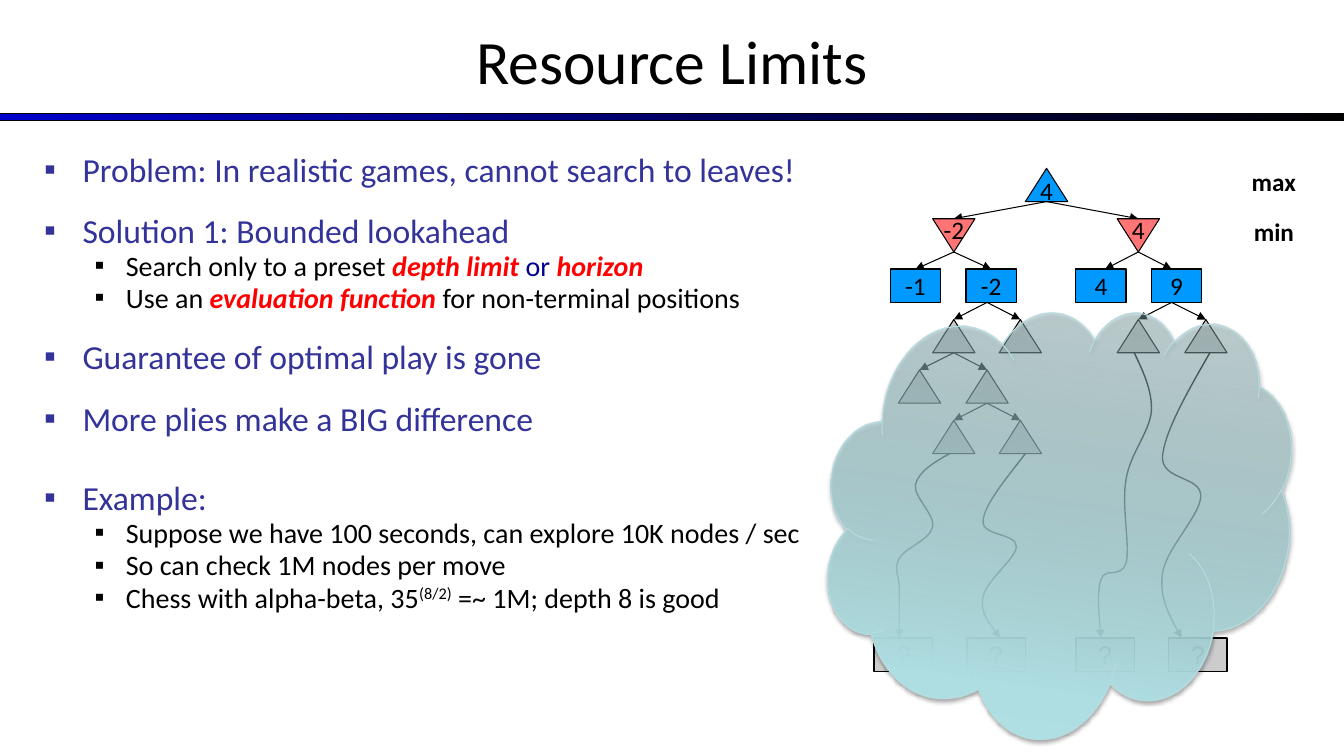
from dataclasses import dataclass
from lxml.etree import SubElement
from pptx import Presentation
from pptx.dml.color import RGBColor
from pptx.enum.shapes import MSO_CONNECTOR as Connector, MSO_SHAPE as Shape
from pptx.enum.text import MSO_ANCHOR as Anchor, PP_ALIGN as Align
from pptx.oxml.ns import qn
from pptx.util import Inches, Pt


@dataclass(frozen=True)
class Theme:
    font: str = "Calibri"
    leaf_font: str = "Arial"
    black: str = "000000"
    heading: str = "333399"
    navy: str = "000090"
    red: str = "FF0000"
    gray: str = "CCCCCC"
    blue: str = "0099FF"
    pink: str = "FF7575"
    cloud_line: str = "B6DCDF"
    bar_stops: tuple = ((0, "0000CC", 100), (100, "000000", 100))
    cloud_stops: tuple = ((0, "87ABAE", 30), (80, "AFDEE2", 100), (100, "AFE0E4", 100))
    title: int = 44
    point: int = 24
    detail: int = 20
    node: int = 18


theme = Theme()

TITLE = "Resource Limits"
POINTS = [
    (0, 0, [("Problem: In realistic games, cannot search to leaves!", "plain")]),
    (0, 20, [("Solution 1: Bounded lookahead", "plain")]),
    (1, 3.8, [("Search only to a preset ", "plain"), ("depth limit", "key"),
              (" or ", "link"), ("horizon", "key")]),
    (1, 3.8, [("Use an ", "plain"), ("evaluation function ", "key"),
              ("for non-terminal positions", "plain")]),
    (0, 21.3, [("Guarantee of optimal play is gone", "plain")]),
    (0, 21.3, [("More plies make a BIG difference", "plain")]),
    (0, 33, [("Example:", "plain")]),
    (1, 3.8, [("Suppose we have 100 seconds, can explore 10K nodes / sec", "plain")]),
    (1, 3.8, [("So can check 1M nodes per move", "plain")]),
    (1, 3.8, [("Chess with alpha-beta, 35", "plain"), ("(8/2)", "super"),
              (" =~ 1M; depth 8 is good", "plain")]),
]
LEVELS = [(0.38, -0.38, theme.point, theme.heading),
          (0.81, -0.31, theme.detail, theme.black)]

ROOT = (10.38, "4")
MIN_NODES = [(9.46, "-2"), (11.29, "4")]
ESTIMATES = [(9.08, "-1"), (9.83, "-2"), (10.92, "4"), (11.67, "9")]
DEEP_NODES = {3: [9.46, 10.12, 11.29, 11.96], 4: [9.12, 9.79], 5: [9.46, 10.12]}
LEAVES = [8.96, 9.88, 10.96, 11.88]
EDGES = [
    (0, 10.38, [9.46, 11.29]),
    (1, 9.46, [9.08, 9.83]), (1, 11.29, [10.96, 11.62]),
    (2, 9.79, [9.46, 10.12]), (2, 11.62, [11.29, 11.96]),
    (3, 9.46, [9.12, 9.79]), (4, 9.79, [9.46, 10.12]),
]
LONG_PATHS = [
    [(9.42, 4.5), (9.26, 4.59), (9.11, 4.68), (9.08, 4.81), (9.06, 4.93),
     (9.28, 5.11), (9.25, 5.23), (9.22, 5.36), (8.97, 5.44), (8.92, 5.54),
     (8.86, 5.64), (8.92, 5.71), (8.92, 5.84), (8.92, 5.98), (8.92, 6.16), (8.92, 6.33)],
    [(10.17, 4.5), (9.97, 4.76), (9.76, 5.01), (9.75, 5.17), (9.74, 5.32),
     (10.08, 5.29), (10.08, 5.42), (10.08, 5.54), (9.78, 5.76), (9.75, 5.92),
     (9.72, 6.07), (9.82, 6.2), (9.92, 6.33)],
    [(12, 3.5), (11.77, 3.9), (11.55, 4.29), (11.53, 4.53), (11.52, 4.77),
     (11.91, 4.72), (11.91, 4.92), (11.91, 5.11), (11.56, 5.45), (11.53, 5.69),
     (11.5, 5.93), (11.61, 6.13), (11.72, 6.33)],
    [(11.25, 3.5), (11.34, 3.69), (11.43, 3.88), (11.42, 4.08), (11.4, 4.29),
     (11.21, 4.5), (11.17, 4.75), (11.12, 5), (11.21, 5.42), (11.17, 5.58),
     (11.12, 5.75), (10.96, 5.62), (10.92, 5.75), (10.88, 5.88), (10.9, 6.1), (10.92, 6.33)],
]
PLAYERS = ["max", "min"]

TREE_TOP, ROW_STEP, NODE_HEIGHT = 1.67, 0.5, 0.33
TRIANGLE_WIDTH, ESTIMATE_WIDTH, LEAF_WIDTH = 0.42, 0.5, 0.58
LEAF_TOP = 6.33


def row_top(row):
    return TREE_TOP + row * ROW_STEP


def add_run(paragraph, text, size, color, font=theme.font, bold=None, italic=None):
    run = paragraph.add_run()
    run.text = text
    run.font.name, run.font.size = font, Pt(size)
    run.font.bold, run.font.italic = bold, italic
    run.font.color.rgb = RGBColor.from_string(color)
    return run


def add_figure(kind, box, fill, line=theme.black, width=0.75):
    shape = slide.shapes.add_shape(kind, *map(Inches, box))
    shape.shadow.inherit = False
    if fill:
        shape.fill.solid()
        shape.fill.fore_color.rgb = RGBColor.from_string(fill)
    shape.line.color.rgb = RGBColor.from_string(line)
    shape.line.width = Pt(width)
    return shape


def set_gradient(shape, stops, angle):
    shape.fill.gradient()
    gradient = shape._element.spPr.find(qn("a:gradFill"))
    for child in list(gradient):
        gradient.remove(child)
    stop_list = SubElement(gradient, qn("a:gsLst"))
    for position, color, opacity in stops:
        stop = SubElement(stop_list, qn("a:gs"), pos=str(position * 1000))
        value = SubElement(stop, qn("a:srgbClr"), val=color)
        if opacity < 100:
            SubElement(value, qn("a:alpha"), val=str(opacity * 1000))
    SubElement(gradient, qn("a:lin"), ang=str(angle * 60000), scaled="0")


def add_node(kind, center, top, width, fill, text="", font=theme.font, line=0.75,
             anchor=Anchor.MIDDLE, inset=0.05):
    shape = add_figure(kind, (center - width / 2, top, width, NODE_HEIGHT), fill, width=line)
    if text:
        frame = shape.text_frame
        frame.word_wrap = False
        frame.vertical_anchor = anchor
        frame.margin_top = Inches(inset)
        frame.paragraphs[0].alignment = Align.CENTER
        add_run(frame.paragraphs[0], text, theme.node, theme.black, font)
    return shape


def style_arrow(shape, width):
    shape.line.color.rgb = RGBColor.from_string(theme.black)
    shape.line.width = Pt(width)
    SubElement(shape.line._get_or_add_ln(), qn("a:tailEnd"), type="triangle")


def add_curve(knots):
    builder = slide.shapes.build_freeform(*map(Inches, knots[0]))
    builder.add_line_segments([tuple(map(Inches, knot)) for knot in knots[1:]], close=False)
    shape = builder.convert_to_shape()
    outline = next(shape._element.iter(qn("a:path")))
    for index, segment in enumerate(outline.findall(qn("a:lnTo"))):
        if index % 3 == 0:
            curve = SubElement(outline, qn("a:cubicBezTo"))
        curve.append(segment[0])
        outline.remove(segment)
    shape.shadow.inherit = False
    shape.fill.background()
    style_arrow(shape, 1)


presentation = Presentation()
presentation.slide_width, presentation.slide_height = Inches(13.33), Inches(7.5)
slide = presentation.slides.add_slide(presentation.slide_layouts[5])

bar = add_figure(Shape.RECTANGLE, (0, 1.13, 13.33, 0.07), None)
set_gradient(bar, theme.bar_stops, 0)

title = slide.shapes.title
title.left, title.top, title.width, title.height = map(Inches, (0, -0.03, 13.33, 1.25))
title.text_frame.vertical_anchor = Anchor.MIDDLE
title.text_frame.paragraphs[0].alignment = Align.CENTER
add_run(title.text_frame.paragraphs[0], TITLE, theme.title, theme.black)

body = slide.shapes.add_textbox(*map(Inches, (0.34, 1.51, 7.75, 4.95))).text_frame
body.word_wrap = True
for index, (level, space, runs) in enumerate(POINTS):
    paragraph = body.add_paragraph() if index else body.paragraphs[0]
    margin, indent, size, color = LEVELS[level]
    paragraph.level = level
    paragraph.line_spacing, paragraph.space_before = 0.8, Pt(space)
    properties = paragraph._p.get_or_add_pPr()
    properties.set("marL", str(Inches(margin)))
    properties.set("indent", str(Inches(indent)))
    SubElement(SubElement(properties, qn("a:buClr")), qn("a:srgbClr"), val=color)
    SubElement(properties, qn("a:buFont"), typeface=theme.leaf_font)
    SubElement(properties, qn("a:buChar"), char="▪")
    for text, style in runs:
        key = style == "key" or None
        run_color = {"key": theme.red, "link": theme.navy}.get(style, color)
        run = add_run(paragraph, text, size, run_color, bold=key, italic=key)
        if style == "super":
            run.font._element.set("baseline", "30000")

for row, start, ends in EDGES:
    for end in ends:
        edge = slide.shapes.add_connector(Connector.STRAIGHT, *map(Inches, (
            start, row_top(row) + NODE_HEIGHT, end, row_top(row + 1))))
        style_arrow(edge, 0.75)
        SubElement(edge._element.spPr, qn("a:effectLst"))

add_node(Shape.ISOSCELES_TRIANGLE, ROOT[0], row_top(0), TRIANGLE_WIDTH, theme.blue, ROOT[1],
         anchor=Anchor.BOTTOM, inset=0.2)
for center, value in MIN_NODES:
    node = add_node(Shape.ISOSCELES_TRIANGLE, center, row_top(1), TRIANGLE_WIDTH, theme.pink,
                    value, inset=0.1)
    node.rotation = 180
    node.text_frame._txBody.bodyPr.set("rot", str(180 * 60000))
for center, value in ESTIMATES:
    add_node(Shape.RECTANGLE, center, row_top(2), ESTIMATE_WIDTH, theme.blue, value, line=1)
for row, centers in DEEP_NODES.items():
    for center in centers:
        add_node(Shape.ISOSCELES_TRIANGLE, center, row_top(row), TRIANGLE_WIDTH, theme.gray)
for center in LEAVES:
    add_node(Shape.RECTANGLE, center, LEAF_TOP, LEAF_WIDTH, theme.gray, "?", theme.leaf_font, 1)

for knots in LONG_PATHS:
    add_curve(knots)

for row, player in enumerate(PLAYERS):
    label = slide.shapes.add_textbox(*map(Inches, (12.27, 1.6 + row * ROW_STEP, 0.73, 0.4)))
    label.text_frame.word_wrap = True
    label.text_frame.vertical_anchor = Anchor.MIDDLE
    label.text_frame.paragraphs[0].alignment = Align.CENTER
    add_run(label.text_frame.paragraphs[0], player, theme.node, theme.black, bold=True)

cloud = add_figure(Shape.CLOUD, (8.21, 3, 4.58, 4.33), None, theme.cloud_line)
cloud.rotation = 8.4
set_gradient(cloud, theme.cloud_stops, 90)
effects = cloud._element.spPr.find(qn("a:effectLst"))
shadow = SubElement(effects, qn("a:outerShdw"), blurRad=str(Pt(3.1)), dist=str(Pt(1.8)),
                    dir=str(90 * 60000), rotWithShape="0")
shade = SubElement(shadow, qn("a:srgbClr"), val=theme.black)
SubElement(shade, qn("a:alpha"), val="35000")

presentation.save("out.pptx")
